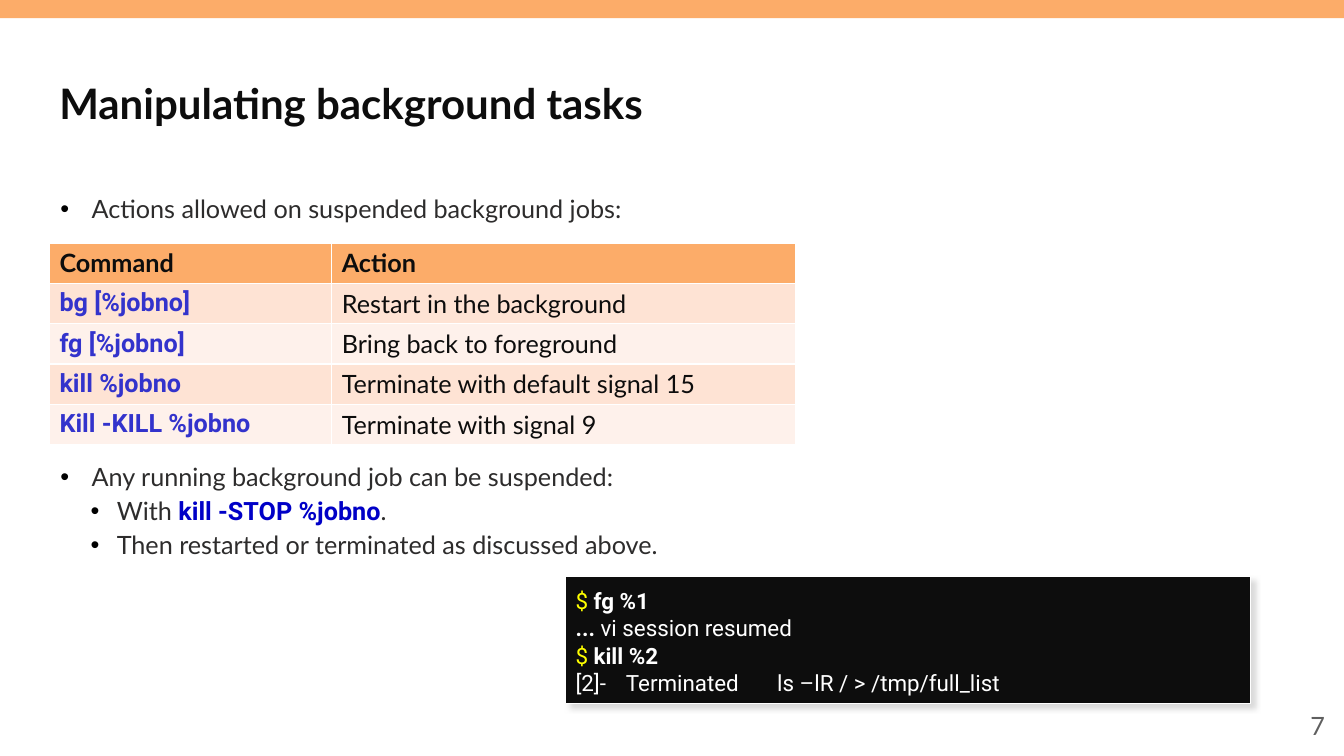
from dataclasses import dataclass

from lxml import etree
from pptx import Presentation
from pptx.dml.color import RGBColor
from pptx.enum.shapes import MSO_SHAPE
from pptx.enum.text import MSO_ANCHOR, MSO_AUTO_SIZE, PP_ALIGN
from pptx.oxml import parse_xml
from pptx.oxml.ns import nsdecls, qn
from pptx.util import Inches, Pt


@dataclass(frozen=True)
class Style:
    font: str
    size: int
    color: str
    bold: bool = False


class Theme:
    orange = "FCAC69"
    bands = ("FEE3D4", "FEF1EB")
    black = "0D0D0D"
    white = "FFFFFF"
    bullet = "000000"
    shadow = "DADADA"
    title = Style("Lato", 30, black, True)
    body = Style("Lato", 18, "2D2C2C")
    body_code = Style("Roboto", 18, "0000C7", True)
    header = Style("Lato", 18, black, True)
    command = Style("Roboto", 18, "3333CC", True)
    action = Style("Lato", 18, black)
    number = Style("Lato", 18, "5F5F5F")
    prompt = Style("Roboto", 16, "FFFF00")
    typed = Style("Roboto", 16, white, True)
    output = Style("Roboto", 16, white)


def write(paragraph, *spans):
    """Add (text, style) spans; a lone span styles the whole paragraph."""
    for text, style in spans:
        run = paragraph.add_run()
        run.text = text
        font = paragraph.font if len(spans) == 1 else run.font
        font.name = style.font
        font.size = Pt(style.size)
        font.bold = style.bold
        font.color.rgb = RGBColor.from_string(style.color)


def add_box(left, top, width, height, anchor=MSO_ANCHOR.TOP):
    """Add a wrapping text box, in inches, and return its text frame."""
    box = slide.shapes.add_textbox(Inches(left), Inches(top), Inches(width), Inches(height))
    box.text_frame.word_wrap = True
    box.text_frame.vertical_anchor = anchor
    return box.text_frame


presentation = Presentation()
presentation.slide_width = Inches(13.33)
presentation.slide_height = Inches(7.5)
slide = presentation.slides.add_slide(presentation.slide_layouts[6])

# Top band and title
band = slide.shapes.add_shape(MSO_SHAPE.RECTANGLE, 0, 0, presentation.slide_width, Inches(0.18))
band.shadow.inherit = False
band.fill.solid()
band.fill.fore_color.rgb = RGBColor.from_string(Theme.orange)
band.line.fill.background()

title = add_box(0.49, 0.55, 12.36, 0.94, MSO_ANCHOR.MIDDLE)
write(title.paragraphs[0], ("Manipulating background tasks", Theme.title))

# Bullets above and below the table: (indent, hanging, spans)
bullet_blocks = [
    (1.9, 0.4, [
        (0.32, 0.31, [("Actions allowed on suspended background jobs:", Theme.body)]),
    ]),
    (4.56, 1.1, [
        (0.32, 0.31, [("Any running background job can be suspended:", Theme.body)]),
        (0.57, 0.26, [("With ", Theme.body), ("kill -STOP %jobno", Theme.body_code),
                      (".", Theme.body)]),
        (0.57, 0.26, [("Then restarted or terminated as discussed above.", Theme.body)]),
    ]),
]
for top, height, bullets in bullet_blocks:
    frame = add_box(0.49, top, 12.36, height)
    for index, (indent, hanging, spans) in enumerate(bullets):
        paragraph = frame.add_paragraph() if index else frame.paragraphs[0]
        properties = paragraph._p.get_or_add_pPr()
        properties.set("marL", str(Inches(indent)))
        properties.set("indent", str(-Inches(hanging)))
        color = etree.SubElement(properties, qn("a:buClr"))
        etree.SubElement(color, qn("a:srgbClr"), val=Theme.bullet)
        etree.SubElement(properties, qn("a:buFont"), typeface="Arial")
        etree.SubElement(properties, qn("a:buChar"), char="•")
        paragraph.line_spacing = 0.9
        if index:
            paragraph.space_before = Pt(4.9)
        write(paragraph, *spans)

# Command table
commands = [
    ("Command", "Action"),
    ("bg [%jobno]", "Restart in the background"),
    ("fg [%jobno]", "Bring back to foreground"),
    ("kill %jobno", "Terminate with default signal 15"),
    ("Kill -KILL %jobno", "Terminate with signal 9"),
]
table = slide.shapes.add_table(len(commands), 2, Inches(0.49), Inches(2.41),
                               Inches(7.4), Inches(2)).table
table.columns[0].width = Inches(2.8)
table.columns[1].width = Inches(4.6)
for row, texts in enumerate(commands):
    styles = (Theme.command, Theme.action) if row else (Theme.header, Theme.header)
    for column, (text, style) in enumerate(zip(texts, styles)):
        cell = table.cell(row, column)
        cell.fill.solid()
        fill = Theme.bands[(row - 1) % 2] if row else Theme.orange
        cell.fill.fore_color.rgb = RGBColor.from_string(fill)
        write(cell.text_frame.paragraphs[0], (text, style))

# Terminal
terminal = slide.shapes.add_shape(MSO_SHAPE.RECTANGLE, Inches(5.61), Inches(5.72),
                                  Inches(6.79), Inches(1.26))
terminal.fill.solid()
terminal.fill.fore_color.rgb = RGBColor.from_string(Theme.black)
terminal.line.color.rgb = RGBColor.from_string(Theme.white)
terminal.line.width = Pt(1)
terminal.shadow.inherit = False
effects = terminal._element.spPr.find(qn("a:effectLst"))
effects.append(parse_xml(
    f'<a:outerShdw {nsdecls("a")} blurRad="{Pt(4)}" dist="{Pt(4)}" dir="2700000" '
    f'algn="tl" rotWithShape="0"><a:srgbClr val="{Theme.shadow}"/></a:outerShdw>'))
frame = terminal.text_frame
frame.word_wrap = True
frame.auto_size = MSO_AUTO_SIZE.SHAPE_TO_FIT_TEXT
frame.vertical_anchor = MSO_ANCHOR.TOP
frame.margin_left = frame.margin_top = frame.margin_right = Inches(0.1)
frame.margin_bottom = Inches(0.06)
session = [
    [("$ ", Theme.prompt), ("fg %1", Theme.typed)],
    [("...", Theme.typed), (" vi session resumed", Theme.output)],
    [("$ ", Theme.prompt), ("kill %2", Theme.typed)],
    [("[2]-\tTerminated\tls –lR / > /tmp/full_list", Theme.output)],
]
for index, spans in enumerate(session):
    paragraph = frame.add_paragraph() if index else frame.paragraphs[0]
    paragraph.alignment = PP_ALIGN.LEFT
    if 0 < index < 3:
        paragraph.space_before = Pt(0.7)
    write(paragraph, *spans)

# Slide number
number = add_box(10.24, 7, 3, 0.4, MSO_ANCHOR.MIDDLE)
number.paragraphs[0].alignment = PP_ALIGN.RIGHT
write(number.paragraphs[0], ("7", Theme.number))

presentation.save("out.pptx")
